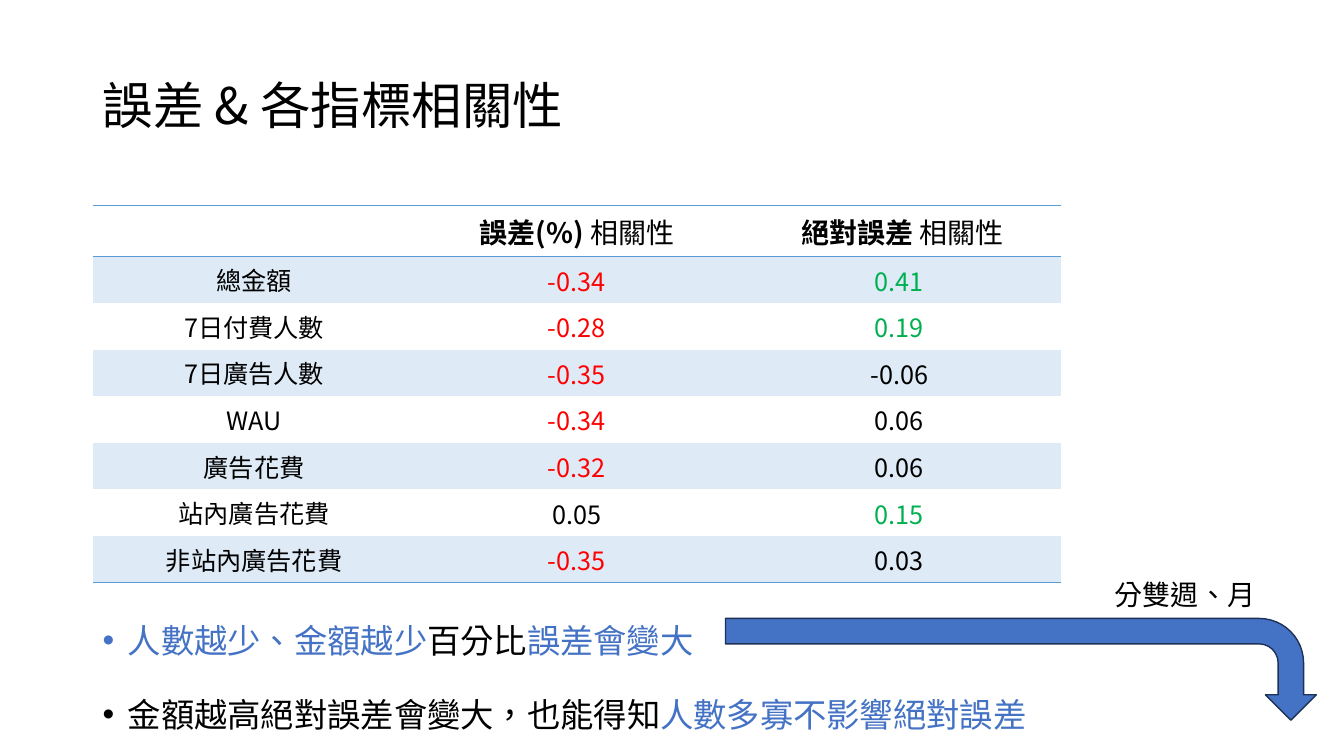
from lxml import etree
from pptx import Presentation
from pptx.dml.color import RGBColor
from pptx.enum import shapes, text
from pptx.oxml import ns
from pptx.util import Inches, Pt

FONT = "Noto Sans CJK SC"
BLACK = RGBColor(0x00, 0x00, 0x00)
RED = RGBColor(0xFF, 0x00, 0x00)
GREEN = RGBColor(0x00, 0xB0, 0x50)
BLUE = RGBColor(0x44, 0x72, 0xC4)
NAVY = RGBColor(0x1E, 0x32, 0x56)
RULE = RGBColor(0x5B, 0x9B, 0xD5)
BAND = RGBColor(0xDE, 0xEB, 0xF7)
NO_STYLE = "{2D5ABB26-0587-4C30-8999-92F81FD0307C}"


def write(paragraph, size, *runs):
    """Add (wording, colour, bold) runs in the slide font, for Latin and Asian text."""
    for wording, color, bold in runs:
        run = paragraph.add_run()
        run.text = wording
        run.font.size = Pt(size)
        run.font.bold = bold
        run.font.color.rgb = color
        run.font.name = FONT
        properties = run.font._element
        properties.set("lang", "zh-TW")
        etree.SubElement(properties, ns.qn("a:ea"), typeface=FONT)


def add_border(cell, side):
    """Draw a 1 pt rule on a cell; add the bottom (lnB) before the top (lnT)."""
    line = etree.Element(ns.qn(f"a:{side}"), w=str(Pt(1)))
    fill = etree.SubElement(line, ns.qn("a:solidFill"))
    etree.SubElement(fill, ns.qn("a:srgbClr"), val=str(RULE))
    cell._tc.get_or_add_tcPr().insert(0, line)


presentation = Presentation()
presentation.slide_width = Inches(13.33)
presentation.slide_height = Inches(7.5)
slide = presentation.slides.add_slide(presentation.slide_layouts[5])

title = slide.shapes.title
title.left, title.top = Inches(0.92), Inches(0.35)
title.width, title.height = Inches(11.5), Inches(1.45)
title.text_frame.vertical_anchor = text.MSO_ANCHOR.MIDDLE
heading = title.text_frame.paragraphs[0]
heading.alignment = text.PP_ALIGN.LEFT
heading.line_spacing = 0.9
write(heading, 36, ("誤差 & 各指標相關性", BLACK, False))

# Correlation table
headers = [
    [],
    [("誤差(%) ", BLACK, True), ("相關性", BLACK, False)],
    [(" ", BLACK, False), ("絕對誤差", BLACK, True), (" 相關性", BLACK, False)],
]
correlations = [
    ("總金額", -0.34, 0.41),
    ("7日付費人數", -0.28, 0.19),
    ("7日廣告人數", -0.35, -0.06),
    ("WAU", -0.34, 0.06),
    ("廣告花費", -0.32, 0.06),
    ("站內廣告花費", 0.05, 0.15),
    ("非站內廣告花費", -0.35, 0.03),
]
last_row = len(correlations)
frame = slide.shapes.add_table(last_row + 1, 3, Inches(0.92), Inches(2.04), Inches(9.6), Inches(3.27))
table = frame.table
table.first_row = table.horz_banding = False
table._tbl.tblPr.find(ns.qn("a:tableStyleId")).text = NO_STYLE
for row in table.rows:
    row.height = Inches(0.41)

for column, runs in enumerate(headers):
    cell = table.cell(0, column)
    write(cell.text_frame.paragraphs[0], 20, *runs)
    add_border(cell, "lnB")
    add_border(cell, "lnT")
    add_border(table.cell(last_row, column), "lnB")

for row, (metric, *values) in enumerate(correlations, start=1):
    write(table.cell(row, 0).text_frame.paragraphs[0], 18, (metric, BLACK, False))
    for column, value in enumerate(values, start=1):
        cell = table.cell(row, column)
        cell.vertical_anchor = text.MSO_ANCHOR.MIDDLE
        cell.margin_left = cell.margin_right = cell.margin_top = Inches(0.01)
        cell.margin_bottom = 0
        color = BLACK if abs(value) < 0.1 else GREEN if value > 0 else RED
        write(cell.text_frame.paragraphs[0], 18, (f"{value:.2f}", color, False))

for row in range(last_row + 1):
    for column in range(3):
        cell = table.cell(row, column)
        cell.text_frame.paragraphs[0].alignment = text.PP_ALIGN.CENTER
        if row % 2:
            cell.fill.solid()
            cell.fill.fore_color.rgb = BAND
        else:
            cell.fill.background()

# Findings
findings = [
    [("人數越少、金額越少", BLUE, False), ("百分比", BLACK, False), ("誤差會變大", BLUE, False)],
    [("金額越高絕對誤差會變大，也能得知", BLACK, False), ("人數多寡不影響絕對誤差", BLUE, False)],
]
findings_box = slide.shapes.add_textbox(Inches(0.92), Inches(5.9), Inches(9.6), Inches(1.38))
findings_box.text_frame.word_wrap = True
for index, runs in enumerate(findings):
    paragraph = findings_box.text_frame.paragraphs[0] if index == 0 else findings_box.text_frame.add_paragraph()
    properties = paragraph._p.get_or_add_pPr()
    properties.set("marL", str(Inches(0.25)))
    properties.set("indent", str(-Inches(0.25)))
    etree.SubElement(properties, ns.qn("a:buFont"), typeface="Arial")
    etree.SubElement(properties, ns.qn("a:buChar"), char="•")
    paragraph.line_spacing = 1.5
    paragraph.space_before = Pt(10 if index else 0)
    write(paragraph, 23.8, *runs)

# Arrow to the next breakdown
arrow = slide.shapes.add_shape(
    shapes.MSO_SHAPE.BENT_ARROW, Inches(9.62), Inches(3.71), Inches(1.01), Inches(5.86))
arrow.rotation = 90
arrow.shadow.inherit = False
arrow.fill.solid()
arrow.fill.fore_color.rgb = BLUE
arrow.line.color.rgb = NAVY
arrow.line.width = Pt(1)

arrow_label = slide.shapes.add_textbox(Inches(10.96), Inches(5.68), Inches(1.96), Inches(0.44))
arrow_label.text_frame.word_wrap = True
arrow_label.text_frame.auto_size = text.MSO_AUTO_SIZE.SHAPE_TO_FIT_TEXT
write(arrow_label.text_frame.paragraphs[0], 20, ("分雙週、月", BLACK, False))

presentation.save("out.pptx")
